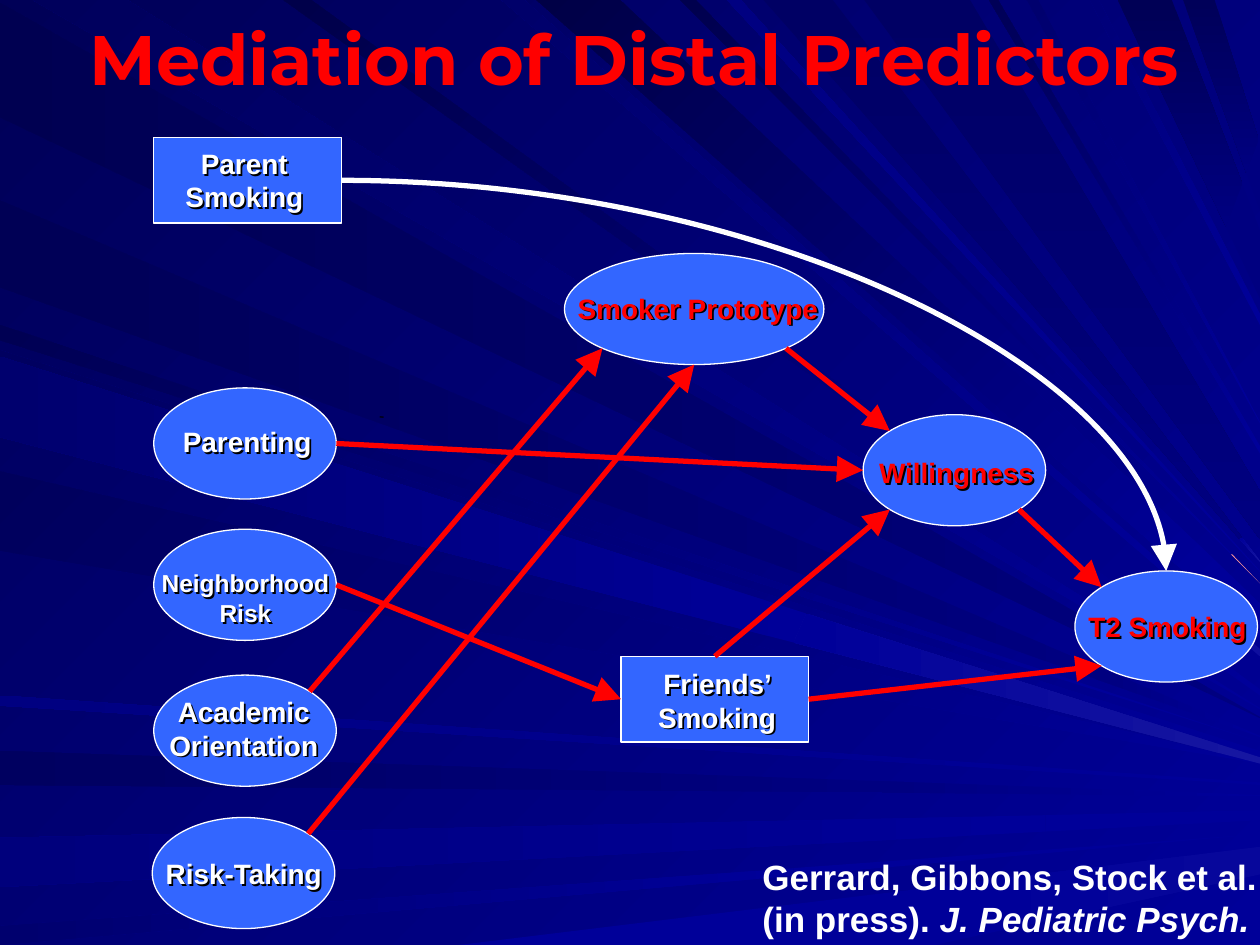
from math import sqrt

from lxml.etree import SubElement
from pptx import Presentation
from pptx.dml.color import RGBColor
from pptx.enum.shapes import MSO_CONNECTOR, MSO_SHAPE
from pptx.enum.text import MSO_ANCHOR, PP_ALIGN
from pptx.oxml.ns import qn
from pptx.util import Cm, Pt

WHITE, BLACK, RED, BLUE = "FFFFFF", "000000", "FF0000", "3366FF"
ROYAL, NAVY = "000099", "000080"
SLANTED, LEVEL, UPRIGHT = 135, 180, 270  # gradient angles


def paint(fill, first, last=None, angle=0):
    """Fill with one colour, or with a linear gradient when last is given."""
    if last is None:
        fill.solid()
        fill.fore_color.rgb = RGBColor.from_string(first)
        return
    fill.gradient()
    fill.gradient_angle = angle
    for stop, colour in zip(fill.gradient_stops, (first, last)):
        stop.color.rgb = RGBColor.from_string(colour)


def add_text(text, box, size=16, font="Arial", colour=WHITE, bold=True,
             align=PP_ALIGN.CENTER, anchor=MSO_ANCHOR.TOP, inset=(0, 0),
             shadow=False, wrap=True):
    """Add a text box; newlines part paragraphs and asterisks enclose italics."""
    holder = slide.shapes.add_textbox(*map(Cm, box))
    frame = holder.text_frame
    frame.word_wrap = wrap
    frame.vertical_anchor = anchor
    frame.margin_left = frame.margin_right = Cm(inset[0])
    frame.margin_top = frame.margin_bottom = Cm(inset[1])
    for number, line in enumerate(text.split("\n")):
        paragraph = frame.add_paragraph() if number else frame.paragraphs[0]
        paragraph.alignment = align
        for part, words in enumerate(line.split("*")):
            if words:
                run = paragraph.add_run()
                run.text = words
                run.font.size, run.font.bold, run.font.name = Pt(size), bold, font
                run.font.italic = part % 2 == 1
                paint(run.font.fill, colour)
    if shadow:  # an unfilled box casts the shadow of its letters
        effects = SubElement(holder.element.spPr, qn("a:effectLst"))
        cast = SubElement(effects, qn("a:outerShdw"), dist="18000", dir="2700000")
        SubElement(cast, qn("a:srgbClr"), val=BLACK)
    return holder


deck = Presentation()
deck.slide_width, deck.slide_height = Cm(25.4), Cm(19.05)
slide = deck.slides.add_slide(deck.slide_layouts[6])
paint(slide.background.fill, ROYAL, "000057", SLANTED)

# Every ray is a straight band from a span of one edge to a span of the right edge.
# A seam says how far along its two sides the band changes from near to far fill.
# Spans are in hundredths of the unit below, on a field of 1000 by 750.
UNIT, FIELD_WIDTH, FIELD_HEIGHT = Cm(2.54) / 100, 1000, 750
# start edge, start span, right span, near fill, then seam and far fill if any
rays = [
    ("left", (2, 93), (569, 570), (NAVY, "000051", LEVEL)),
    ("top", (26, 101), (563, 562), (ROYAL, "00005C", SLANTED)),
    ("left", (596, 623), (631, 632), (NAVY, "000060", LEVEL), (0.7, 0.7), (ROYAL, NAVY, LEVEL)),
    ("left", (665, 704), (643, 651), (ROYAL, "00007C", LEVEL), (0.83, 0.83), (ROYAL,)),
    ("left", (735, 750), (662, 662), (ROYAL, "00006E", LEVEL), (0.63, 0.63), (ROYAL,)),
    ("bottom", (364, 742), (672, 694), (ROYAL,), (0.62, 0.23), ("07079B", ROYAL, LEVEL)),
    ("left", (258, 270), (589, 589), (ROYAL, "000053", SLANTED), (0.87, 0.87), (ROYAL,)),
    ("left", (159, 228), (584, 585), (NAVY, "000055", LEVEL), (0.87, 0.87), (ROYAL, NAVY, LEVEL)),
    ("top", (398, 416), (521, 515), (ROYAL, "00006A", SLANTED), (0.91, 0.91),
     ("0E0E9E", ROYAL, SLANTED)),
    ("top", (426, 492), (507, 479), (ROYAL, "000046", SLANTED), (0.91, 0.94), (ROYAL,)),
    ("top", (540, 552), (463, 463), (ROYAL, "00004E", SLANTED), (0.95, 0.95), ("FF9999",)),
    ("top", (606, 661), (446, 445), ("000064", NAVY, UPRIGHT), (0.96, 0.96),
     ("1616A1", ROYAL, SLANTED)),
    ("top", (887, 930), (237, 183), ("000055", NAVY, UPRIGHT), (0.76, 0.8), (NAVY,)),
    ("top", (939, 964), (167, 114), ("000059", NAVY, UPRIGHT), (0.82, 0.97), (NAVY,)),
    ("left", (278, 342), (596, 602), (ROYAL, "000060", SLANTED)),
    ("left", (374, 437), (605, 606), (ROYAL, "00005C", SLANTED)),
    ("left", (552, 560), (621, 623), (ROYAL, "000081", LEVEL)),
    ("top", (225, 247), (552, 547), (ROYAL, "00004A", SLANTED)),
    ("top", (577, 588), (454, 453), (ROYAL, "000081", SLANTED)),
    ("top", (686, 770), (428, 390), ("000064", NAVY, UPRIGHT)),
    ("top", (785, 792), (360, 354), (ROYAL, "000057", SLANTED)),
    ("top", (815, 824), (336, 335), (ROYAL, "00006E", SLANTED)),
    ("top", (865, 872), (258, 249), (ROYAL, "000078", SLANTED)),
    ("left", (283, 347), (601, 606), (ROYAL, "00006E", LEVEL), (0.64, 0.63),
     ("1616A1", ROYAL, LEVEL)),
]
for edge, start_span, right_span, near_fill, *beyond in rays:
    if edge == "left":
        starts = [(0, y) for y in start_span]
    else:
        starts = [(x, FIELD_HEIGHT if edge == "bottom" else 0) for x in start_span]
    ends = [(FIELD_WIDTH, y) for y in right_span]
    pieces = [(starts, ends, near_fill)]
    if beyond:
        seam, far_fill = beyond
        joint = [(x + (to_x - x) * share, y + (to_y - y) * share)
                 for (x, y), (to_x, to_y), share in zip(starts, ends, seam)]
        pieces = [(starts, joint, near_fill), (joint, ends, far_fill)]
    for (first, second), (first_end, second_end), colours in pieces:
        outline = slide.shapes.build_freeform(*first, scale=UNIT)
        outline.add_line_segments([first_end, second_end, second], close=True)
        band = outline.convert_to_shape()
        band.shadow.inherit = False
        band.line.fill.background()
        paint(band.fill, *colours)

add_text("Mediation of Distal Predictors", (0.91, 0, 23.75, 2.31), size=40,
         font="Montserrat", colour=RED, anchor=MSO_ANCHOR.MIDDLE, inset=(0.25, 0.13))
dash = add_text("-", (7.65, 8.18, 0.1, 0.38), size=9, colour=BLACK,
                bold=False, align=PP_ALIGN.LEFT, wrap=False)
dash.rotation = 4

# Measured variables are rectangles, constructs are ovals
measured = {"inset": (0.25, 0.13)}
construct = {}
mediator = {"colour": RED}
# name: label, left, top and width of the shape, label box, label format
nodes = {
    "parent": ("Parent Smoking", (3.1, 2.77, 3.78), (3.25, 2.82, 3.35, 1.63), measured),
    "friends": ("Friends’ Smoking", (12.52, 13.23, 3.78), (12.78, 13.31, 3.35, 1.63), measured),
    "parenting": ("Parenting", (3.1, 7.82, 3.68), (3.12, 8.56, 3.73, 0.69), construct),
    "risk": ("Neighborhood\nRisk", (3.1, 10.67, 3.68), (2.92, 11.46, 4.06, 1.19), {"size": 14}),
    "academic": ("Academic Orientation", (3.1, 13.61, 3.68), (3.05, 14, 3.73, 1.35), construct),
    "taking": ("Risk-Taking", (3.07, 16.48, 3.68), (3.05, 17.27, 3.73, 0.69), construct),
    "prototype": ("Smoker Prototype", (11.38, 5.11, 5.23), (11.58, 5.87, 4.98, 1.35), mediator),
    "willing": ("Willingness", (17.4, 8.36, 3.68), (17.42, 9.19, 3.73, 0.69), mediator),
    "outcome": ("T2 Smoking", (21.67, 11.51, 3.68), (21.67, 12.29, 3.73, 0.69), mediator),
}
frames = {}
for name, (label, (left, top, width), label_box, style) in nodes.items():
    kind, height = (MSO_SHAPE.RECTANGLE, 1.73) if style is measured else (MSO_SHAPE.OVAL, 2.24)
    frames[name] = left, top, width, height
    node = slide.shapes.add_shape(kind, *map(Cm, frames[name]))
    node.shadow.inherit = False
    paint(node.fill, BLUE)
    paint(node.line.fill, WHITE)
    node.line.width = Pt(0.75)
    add_text(label, label_box, shadow=True, **style)

# Arrows join compass points on the outlines of the nodes
DIAGONAL = sqrt(0.5)
compass = {"N": (0, -1), "S": (0, 1), "E": (1, 0), "W": (-1, 0)}
for vertical, y in (("N", -DIAGONAL), ("S", DIAGONAL)):
    for side, x in (("E", DIAGONAL), ("W", -DIAGONAL)):
        compass[vertical + side] = x, y

influences = [
    ("friends", "E", "outcome", "SW"),
    ("willing", "SE", "outcome", "NW"),
    ("friends", "N", "willing", "SW"),
    ("prototype", "SE", "willing", "NW"),
    ("parenting", "E", "willing", "W"),
    ("parent", "E", "outcome", "N"),
    ("risk", "E", "friends", "W"),
    ("academic", "NE", "prototype", "SW"),
    ("taking", "NE", "prototype", "S"),
]
for source, leaving, target, entering in influences:
    ends = []
    for name, point in ((source, leaving), (target, entering)):
        left, top, width, height = frames[name]
        x, y = compass[point]
        ends += [left + width / 2 * (1 + x), top + height / 2 * (1 + y)]
    direct = source == "parent"  # the one unmediated influence, a white curve
    kind = MSO_CONNECTOR.CURVE if direct else MSO_CONNECTOR.STRAIGHT
    arrow = slide.shapes.add_connector(kind, *map(Cm, ends))
    paint(arrow.line.fill, WHITE if direct else RED)
    arrow.line.width = Pt(3)
    SubElement(arrow.get_or_add_ln(), qn("a:tailEnd"), type="triangle", w="lg", len="lg")
    properties = arrow.element.spPr
    SubElement(properties, qn("a:effectLst"))
    if direct:
        properties.find(qn("a:prstGeom")).set("prst", "curvedConnector2")

add_text("Gerrard, Gibbons, Stock et al. (in press). *J. Pediatric Psych.*",
         (15.37, 17.25, 10.72, 1.7), size=20, align=PP_ALIGN.LEFT)

deck.save("out.pptx")
